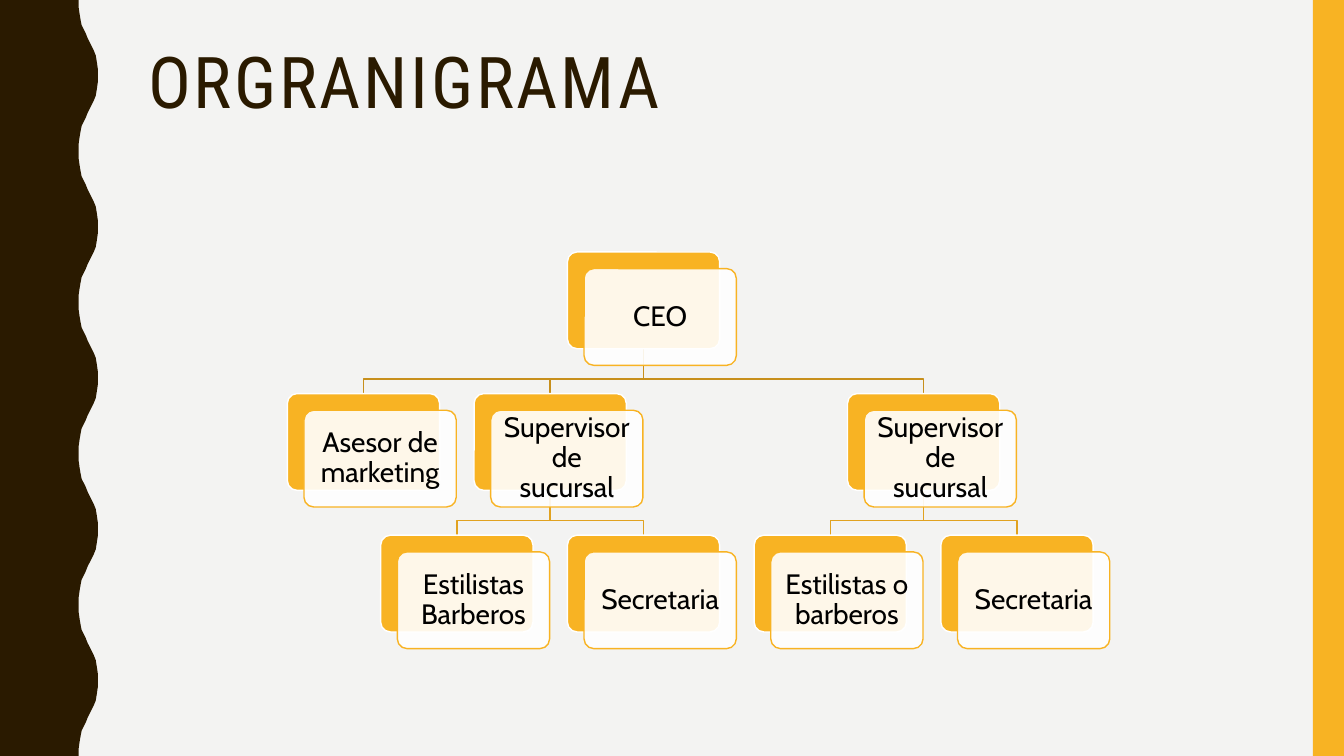
"""Build the organisation chart slide of a chain of hair salons."""
import dataclasses
import typing

import lxml.etree
import pptx
import pptx.dml.color
import pptx.enum.shapes
import pptx.enum.text
import pptx.oxml.ns
import pptx.shapes.autoshape
import pptx.slide
import pptx.text.text
import pptx.util

Point = tuple[float, float]
Box = tuple[float, float, float, float]


@dataclasses.dataclass(frozen=True)
class Theme:
    background: str = "F3F3F2"
    dark: str = "2A1A00"
    accent: str = "F8B323"
    white: str = "FFFFFF"
    black: str = "000000"
    branches: tuple[str, ...] = ("C78F1C", "E1A220")
    title_font: str = "Roboto Condensed"
    body_font: str = "Cabin"
    title_size: float = 51
    body_size: float = 20
    line_width: float = 1


@dataclasses.dataclass(frozen=True)
class Grid:
    left: float = 2.85
    top: float = 2.5
    column: float = 0.926
    row: float = 1.405
    card_width: float = 1.51
    card_height: float = 0.96
    offset: float = 0.165
    elbow: float = 0.3

    def corner(self, column: int, row: int) -> Point:
        return self.left + column * self.column, self.top + row * self.row


@dataclasses.dataclass(frozen=True)
class Position:
    role: str
    column: int
    row: int
    reports: tuple["Position", ...] = ()


THEME = Theme()
GRID = Grid()
SLIDE_WIDTH, SLIDE_HEIGHT = 13.33, 7.5
STRIPE_WIDTH = 0.31
WAVE_COUNT = 5
WAVE_HEIGHT = SLIDE_HEIGHT / WAVE_COUNT
HALF_WAVE: list[Point] = [
    (0.78, 0), (0.78, 0.07), (0.79, 0.14), (0.8, 0.2), (0.81, 0.25),
    (0.83, 0.29), (0.85, 0.33), (0.87, 0.38), (0.89, 0.42), (0.91, 0.46),
    (0.93, 0.5), (0.95, 0.55), (0.96, 0.61), (0.97, 0.68), (0.97, 0.75),
]
CEO = Position("CEO", 3, 0, (
    Position("Asesor de marketing", 0, 1),
    Position("Supervisor de sucursal", 2, 1, (
        Position("Estilistas Barberos", 1, 2),
        Position("Secretaria", 3, 2),
    )),
    Position("Supervisor de sucursal", 6, 1, (
        Position("Estilistas o barberos", 5, 2),
        Position("Secretaria", 7, 2),
    )),
))


def rgb(colour: str) -> pptx.dml.color.RGBColor:
    return pptx.dml.color.RGBColor.from_string(colour)


def apply(target: object, values: dict[str, typing.Any]) -> None:
    for name, value in values.items():
        setattr(target, name, value)


def paint(shape: pptx.shapes.autoshape.Shape, fill: str | None, line: str | None) -> None:
    shape.shadow.inherit = False
    if fill:
        shape.fill.solid()
        shape.fill.fore_color.rgb = rgb(fill)
    else:
        shape.fill.background()
    if line:
        shape.line.color.rgb = rgb(line)
        shape.line.width = pptx.util.Pt(THEME.line_width)
    else:
        shape.line.fill.background()


def draw_shape(slide: pptx.slide.Slide, kind: pptx.enum.shapes.MSO_SHAPE, box: Box,
               fill: str, line: str | None = None) -> pptx.shapes.autoshape.Shape:
    shape = slide.shapes.add_shape(kind, *map(pptx.util.Inches, box))
    paint(shape, fill, line)
    return shape


def draw_path(slide: pptx.slide.Slide, points: list[Point], fill: str | None = None,
              line: str | None = None) -> None:
    start, *rest = [(pptx.util.Inches(x), pptx.util.Inches(y)) for x, y in points]
    builder = slide.shapes.build_freeform(*start)
    builder.add_line_segments(rest, close=fill is not None)
    paint(builder.convert_to_shape(), fill, line)


def write(shape: pptx.shapes.autoshape.Shape, text: str, frame: dict[str, typing.Any],
          paragraph: dict[str, typing.Any], font: dict[str, typing.Any],
          colour: str) -> pptx.text.text._Run:
    apply(shape.text_frame, {"word_wrap": True, **frame})
    line = shape.text_frame.paragraphs[0]
    apply(line, {"line_spacing": 0.9, **paragraph})
    run = line.add_run()
    run.text = text
    apply(run.font, font)
    run.font.color.rgb = rgb(colour)
    return run


def draw_wave(slide: pptx.slide.Slide) -> None:
    falling = [(x, WAVE_HEIGHT - y) for x, y in reversed(HALF_WAVE[1:-1])]
    edge = [(x, y + wave * WAVE_HEIGHT) for wave in range(WAVE_COUNT)
            for x, y in HALF_WAVE + falling]
    draw_path(slide, [(0, 0), *edge, (HALF_WAVE[0][0], SLIDE_HEIGHT), (0, SLIDE_HEIGHT)],
              fill=THEME.dark)


def draw_title(slide: pptx.slide.Slide) -> None:
    box = (1.37, 0.42, 11.13, 1.63)
    title = slide.shapes.add_textbox(*map(pptx.util.Inches, box))
    run = write(title, "ORGRANIGRAMA",
                {"vertical_anchor": pptx.enum.text.MSO_ANCHOR.TOP}, {},
                {"name": THEME.title_font, "size": pptx.util.Pt(THEME.title_size)},
                THEME.dark)
    run._r.get_or_add_rPr().set("spc", "200")


def draw_branches(slide: pptx.slide.Slide, boss: Position) -> None:
    boss_left, boss_top = GRID.corner(boss.column, boss.row)
    start_x, start_y = boss_left + GRID.card_width / 2, boss_top + GRID.card_height
    elbow_y = start_y + GRID.elbow
    for report in boss.reports:
        left, top = GRID.corner(report.column, report.row)
        end_x = left + GRID.card_width / 2
        draw_path(slide, [(start_x, start_y), (start_x, elbow_y), (end_x, elbow_y), (end_x, top)],
                  line=THEME.branches[boss.row])
        draw_branches(slide, report)


def draw_cards(slide: pptx.slide.Slide, position: Position) -> None:
    left, top = GRID.corner(position.column, position.row)
    layers = ((0, THEME.accent, THEME.white), (GRID.offset, THEME.white, THEME.accent))
    for shift, fill, line in layers:
        box = (left + shift, top + shift, GRID.card_width, GRID.card_height)
        card = draw_shape(slide, pptx.enum.shapes.MSO_SHAPE.ROUNDED_RECTANGLE, box, fill, line)
        card.adjustments[0] = 0.1
    tint = card._element.spPr.find(pptx.oxml.ns.qn("a:solidFill"))[0]
    lxml.etree.SubElement(tint, pptx.oxml.ns.qn("a:alpha")).set("val", "90000")
    sides = ("left", "top", "right", "bottom")
    frame = {f"margin_{side}": pptx.util.Inches(0.08) for side in sides}
    write(card, position.role,
          {**frame, "vertical_anchor": pptx.enum.text.MSO_ANCHOR.MIDDLE},
          {"alignment": pptx.enum.text.PP_ALIGN.CENTER},
          {"name": THEME.body_font, "size": pptx.util.Pt(THEME.body_size)}, THEME.black)
    for report in position.reports:
        draw_cards(slide, report)


def main() -> None:
    deck = pptx.Presentation()
    apply(deck, {"slide_width": pptx.util.Inches(SLIDE_WIDTH),
                 "slide_height": pptx.util.Inches(SLIDE_HEIGHT)})
    slide = deck.slides.add_slide(deck.slide_layouts[6])
    slide.background.fill.solid()
    slide.background.fill.fore_color.rgb = rgb(THEME.background)
    draw_wave(slide)
    draw_shape(slide, pptx.enum.shapes.MSO_SHAPE.RECTANGLE,
               (SLIDE_WIDTH - STRIPE_WIDTH, 0, STRIPE_WIDTH, SLIDE_HEIGHT), THEME.accent)
    draw_title(slide)
    draw_branches(slide, CEO)
    draw_cards(slide, CEO)
    deck.save("out.pptx")


if __name__ == "__main__":
    main()
